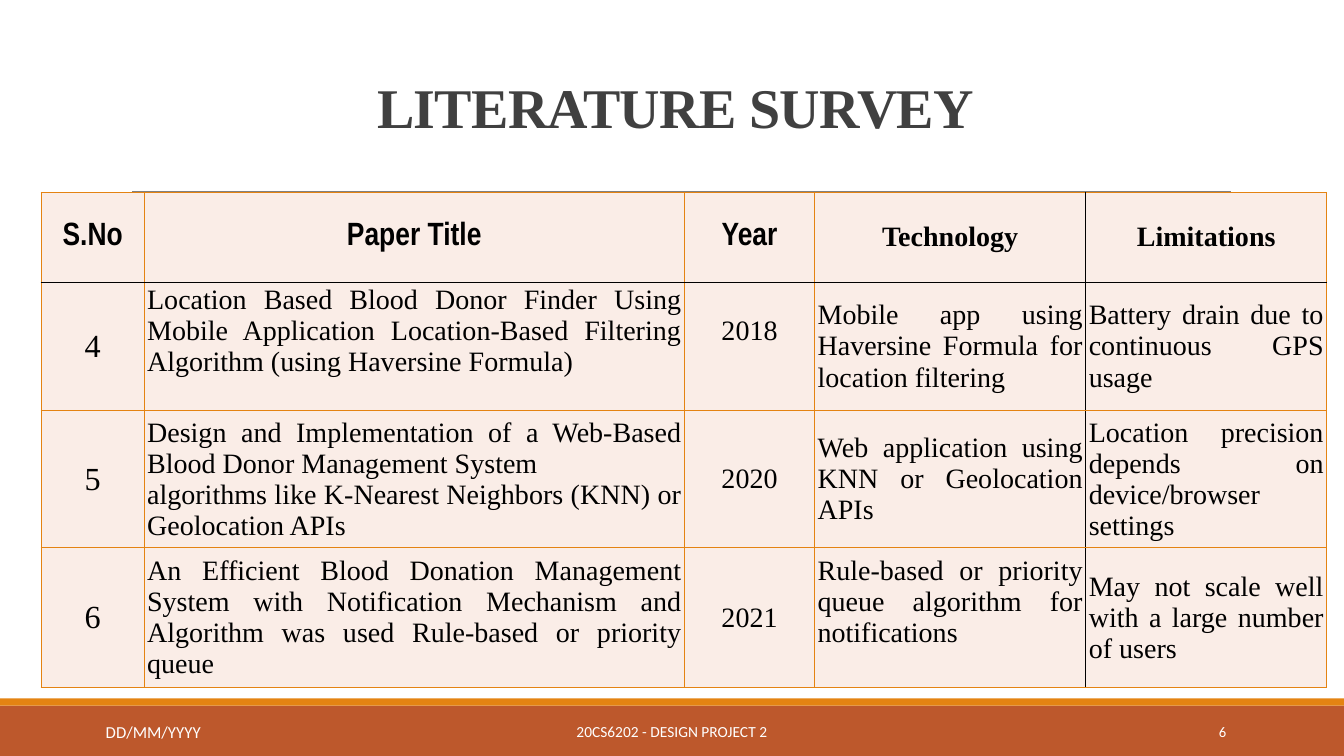
import pptx
import pptx.util
import pptx.dml.color
import pptx.enum.shapes
import pptx.enum.text
import pptx.oxml.ns
from dataclasses import dataclass
from lxml import etree

TITLE = "LITERATURE SURVEY"
HEADERS = ["S.No", "Paper Title", "Year", "Technology", "Limitations"]
PAPERS = [
    ["4",
     "Location Based Blood Donor Finder Using Mobile Application Location-Based Filtering Algorithm (using Haversine Formula)",
     "2018",
     "Mobile app using Haversine Formula for location filtering",
     "Battery drain due to continuous GPS usage"],
    ["5",
     "Design and Implementation of a Web-Based Blood Donor Management System\nalgorithms like K-Nearest Neighbors (KNN) or Geolocation APIs",
     "2020",
     "Web application using KNN or Geolocation APIs",
     "Location precision depends on device/browser settings"],
    ["6",
     "An Efficient Blood Donation Management System with Notification Mechanism and Algorithm was used Rule-based or priority queue",
     "2021",
     "Rule-based or priority queue algorithm for notifications",
     "May not scale well with a large number of users"],
]
DATE, COURSE, PAGE = "DD/MM/YYYY", "20CS6202 - DESIGN PROJECT 2", "6"

WIDTH, HEIGHT = 13.33, 7.5
COLS = [1.02, 5.36, 1.29, 2.69, 2.39]
ROWS = [0.89, 1.27, 1.36, 1.39]
TABLE_LEFT, TABLE_TOP = 0.41, 1.91
RAISED_CELLS = {(1, 1), (1, 2), (3, 3)}
TEXT_LINE = 0.31
FOOTER_TOP, STRIPE = 7.0, 0.07


@dataclass(frozen=True)
class Theme:
    bar: str = "BD582C"
    accent: str = "E48312"
    rule: str = "808080"
    cell: str = "FAEDE7"
    title: str = "404040"
    ink: str = "000000"
    white: str = "FFFFFF"
    serif: str = "Times New Roman"
    narrow: str = "Arial Narrow"
    sans: str = "Calibri"
    title_size: float = 40
    large: float = 23
    body: float = 20
    date: float = 12
    course: float = 11
    page: float = 10.5


T = Theme()
ALIGN = pptx.enum.text.PP_ALIGN
MIDDLE = pptx.enum.text.MSO_ANCHOR.MIDDLE
inch = pptx.util.Inches


def rgb(color):
    return pptx.dml.color.RGBColor.from_string(color)


def format_text(tf, size, font, color, align, bold=False):
    for p in tf.paragraphs:
        p.alignment = align
        for r in p.runs:
            r.font.size = pptx.util.Pt(size)
            r.font.name = font
            r.font.bold = bold
            r.font.color.rgb = rgb(color)


def add_band(s, top, height, color):
    sp = s.shapes.add_shape(pptx.enum.shapes.MSO_SHAPE.RECTANGLE,
                            0, inch(top), inch(WIDTH), inch(height))
    sp.shadow.inherit = False
    sp.fill.solid()
    sp.fill.fore_color.rgb = rgb(color)
    sp.line.fill.background()


def add_rule(s):
    sp = s.shapes.add_connector(pptx.enum.shapes.MSO_CONNECTOR.STRAIGHT,
                                inch(1.31), inch(1.9), inch(12.21), inch(1.9))
    sp.line.color.rgb = rgb(T.rule)
    sp.line.width = pptx.util.Pt(0.5)
    etree.SubElement(sp._element.spPr, pptx.oxml.ns.qn("a:effectLst"))


def add_title(s):
    sp = s.shapes.title
    sp.left, sp.top, sp.width, sp.height = map(inch, (1.2, 0.31, 11, 1.59))
    tf = sp.text_frame
    tf.text = TITLE
    tf.vertical_anchor = MIDDLE
    p = tf.paragraphs[0]
    p.line_spacing = 0.85
    format_text(tf, T.title_size, T.serif, T.title, ALIGN.CENTER, True)
    p.runs[0].font._element.set("spc", "-50")


def set_borders(cell, colors):
    tcPr = cell._tc.get_or_add_tcPr()
    for i, (side, color) in enumerate(colors.items()):
        ln = etree.Element(pptx.oxml.ns.qn("a:ln" + side), w="12700")
        fill = etree.SubElement(ln, pptx.oxml.ns.qn("a:solidFill"))
        etree.SubElement(fill, pptx.oxml.ns.qn("a:srgbClr"), val=color)
        tcPr.insert(i, ln)


def fill_cell(cell, row, col, text):
    cell.text = text
    cell.vertical_anchor = MIDDLE
    cell.margin_left = cell.margin_right = inch(0.03)
    cell.margin_top = inch(0.02)
    cell.margin_bottom = inch(0.02 + TEXT_LINE * ((row, col) in RAISED_CELLS))
    cell.fill.solid()
    cell.fill.fore_color.rgb = rgb(T.cell)
    header = row == 0
    large = col == 0 or header and col < 3
    centred = header or col in (0, 2)
    format_text(cell.text_frame, T.large if large else T.body,
                T.narrow if header and col < 3 else T.serif, T.ink,
                ALIGN.CENTER if centred else ALIGN.JUSTIFY, header)
    set_borders(cell, {
        "L": T.ink if col == 4 else T.accent,
        "R": T.ink if col == 3 else T.accent,
        "T": T.ink if row == 1 else T.accent,
        "B": T.ink if header else T.accent,
    })


def add_survey(s):
    table = s.shapes.add_table(len(ROWS), len(COLS), inch(TABLE_LEFT), inch(TABLE_TOP),
                               inch(sum(COLS)), inch(sum(ROWS))).table
    table.first_row = table.horz_banding = False
    for column, width in zip(table.columns, COLS):
        column.width = inch(width)
    for i, values in enumerate([HEADERS] + PAPERS):
        table.rows[i].height = inch(ROWS[i])
        for j, text in enumerate(values):
            fill_cell(table.cell(i, j), i, j, text)


def add_footer_text(s, text, box, size, align):
    tf = s.shapes.add_textbox(*map(inch, box)).text_frame
    tf.word_wrap = True
    tf.vertical_anchor = MIDDLE
    tf.text = text
    format_text(tf, size, T.sans, T.white, align)


def main():
    prs = pptx.Presentation()
    prs.slide_width, prs.slide_height = inch(WIDTH), inch(HEIGHT)
    s = prs.slides.add_slide(prs.slide_layouts[5])
    add_band(s, FOOTER_TOP, HEIGHT - FOOTER_TOP, T.bar)
    add_band(s, FOOTER_TOP - STRIPE, STRIPE, T.accent)
    add_rule(s)
    add_title(s)
    add_survey(s)
    add_footer_text(s, COURSE, (4.03, 7.06, 5.27, 0.4), T.course, ALIGN.CENTER)
    add_footer_text(s, PAGE, (10.83, 7.06, 1.43, 0.4), T.page, ALIGN.RIGHT)
    add_footer_text(s, DATE, (0.95, 7.11, 2.59, 0.3), T.date, ALIGN.LEFT)
    prs.save("out.pptx")


if __name__ == "__main__":
    main()
